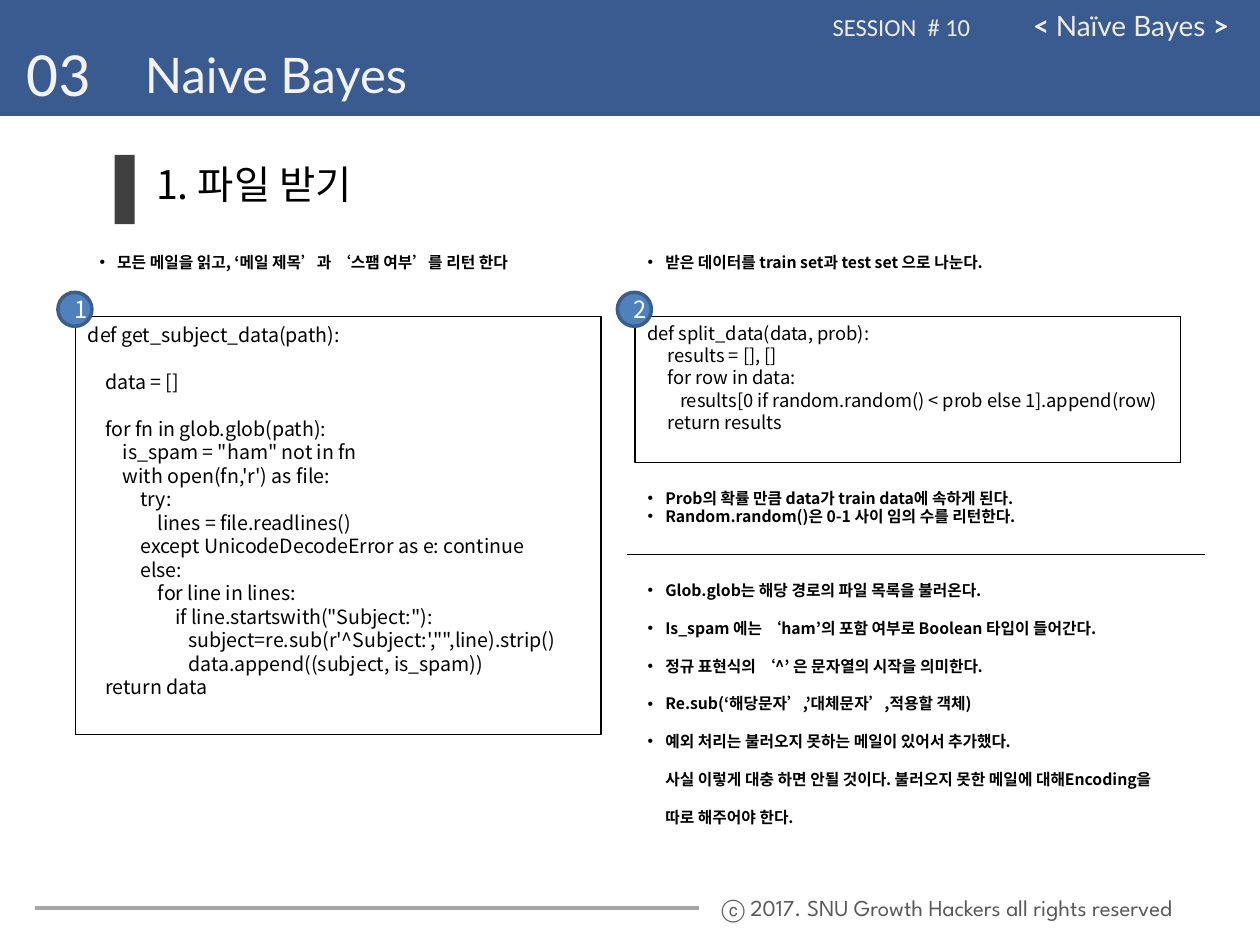
from copy import deepcopy
from lxml import etree
from pptx import Presentation
from pptx import util as u
from pptx.dml.color import RGBColor
from pptx.enum import shapes, text
from pptx.oxml import ns

PX = 9144
NAVY = RGBColor(0x3A, 0x5B, 0x90)
BLUE = RGBColor(0x4F, 0x81, 0xBD)
RIM = RGBColor(0x3A, 0x5F, 0x8C)
BLACK = RGBColor(0, 0, 0)
DARK = RGBColor(0x40, 0x40, 0x40)
GRAY = RGBColor(0x59, 0x59, 0x59)
RULE = RGBColor(0xA6, 0xA6, 0xA6)
PALE = RGBColor(0xF2, 0xF2, 0xF2)
CREAM = RGBColor(0xEE, 0xEC, 0xE1)
WHITE = RGBColor(0xFF, 0xFF, 0xFF)
NOTO = "Noto Sans CJK KR"

READ = """def get_subject_data(path):

    data = []

    for fn in glob.glob(path):
        is_spam = "ham" not in fn
        with open(fn,'r') as file:
            try:
                lines = file.readlines()
            except UnicodeDecodeError as e: continue
            else:
                for line in lines:
                    if line.startswith("Subject:"):
                       subject=re.sub(r'^Subject:',"",line).strip()
                       data.append((subject, is_spam))
    return data"""
SPLIT = """def split_data(data, prob):
     results = [], []
     for row in data:
        results[0 if random.random() < prob else 1].append(row)
     return results"""
NOTES = [
    "Glob.glob는 해당 경로의 파일 목록을 불러온다.",
    "Is_spam 에는 ‘ham’의 포함 여부로 Boolean 타입이 들어간다.",
    "정규 표현식의 ‘^’ 은 문자열의 시작을 의미한다.",
    "Re.sub(‘해당문자’,’대체문자’,적용할 객체)",
    "예외 처리는 불러오지 못하는 메일이 있어서 추가했다. \v"
    "사실 이렇게 대충 하면 안될 것이다. 불러오지 못한 메일에 대해Encoding을 따로 해주어야 한다.",
]


def scale(*nums):
    """Turn px into EMU."""
    return [n * PX for n in nums]


def mark(para):
    """Give a paragraph a hanging bullet."""
    props = para._p.get_or_add_pPr()
    props.set("marL", str(14 * PX))
    props.set("indent", str(-14 * PX))
    etree.SubElement(props, ns.qn("a:buFont")).set("typeface", "Arial")
    etree.SubElement(props, ns.qn("a:buChar")).set("char", "•")


def style(run, size, color, font, bold):
    """Format one run."""
    run.font.size = u.Pt(size)
    run.font.color.rgb = color
    run.font.name = font
    run.font.bold = bold
    etree.SubElement(run._r.get_or_add_rPr(), ns.qn("a:ea")).set("typeface", font)


def write(shape, lines, size, color=BLACK, font=NOTO, bold=False, pitch=None,
          bullet=False, align=text.PP_ALIGN.LEFT, anchor=text.MSO_ANCHOR.TOP):
    """Fill a shape with lines; an empty line is a gap, and tuple parts alternate weight."""
    frame = shape.text_frame
    frame.word_wrap = True
    frame.auto_size = text.MSO_AUTO_SIZE.NONE
    frame.vertical_anchor = anchor
    para, gap = frame.paragraphs[0], 0
    for row, line in enumerate(lines):
        if not line:
            gap += pitch
            continue
        if row:
            para = frame.add_paragraph()
        para.alignment = align
        para.space_before = u.Pt(gap)
        gap = 0
        if pitch:
            para.line_spacing = u.Pt(pitch)
        if bullet:
            mark(para)
        for turn, part in enumerate([line] if isinstance(line, str) else line):
            for nth, piece in enumerate(part.split("\v")):
                if nth:
                    para.add_line_break()
                run = para.add_run()
                run.text = piece
                style(run, size, color, font, bold != (turn % 2 == 1))
        for brk in para._p.findall(ns.qn("a:br")):
            brk.append(deepcopy(run._r.rPr))


def label(slide, box, *lines, **form):
    """Add a text box."""
    write(slide.shapes.add_textbox(*scale(*box)), lines, **form)


def block(slide, box, fill=None, line=None, width=0.75, kind=shapes.MSO_SHAPE.RECTANGLE):
    """Add a flat preset shape."""
    shape = slide.shapes.add_shape(kind, *scale(*box))
    shape.shadow.inherit = False
    for paint, color in ((shape.fill, fill), (shape.line.fill, line)):
        if color is None:
            paint.background()
        else:
            paint.solid()
            paint.fore_color.rgb = color
    if line is not None:
        shape.line.width = u.Pt(width)
    return shape


def rule(slide, x, y, w, color, width):
    """Add a level line."""
    line = slide.shapes.add_connector(shapes.MSO_CONNECTOR.STRAIGHT, *scale(x, y, x + w, y))
    line.line.color.rgb = color
    line.line.width = u.Pt(width)
    etree.SubElement(line._element.spPr, ns.qn("a:effectLst"))


def hold(slide, idx, box, lines, **form):
    """Move a placeholder to the front and fill it."""
    shape = slide.placeholders[idx]
    slide.shapes.element.append(shape.element)
    shape.left, shape.top, shape.width, shape.height = scale(*box)
    write(shape, lines, **form)


def banner(slide, x, y, w, h):
    """Draw the top band with its title."""
    block(slide, (x, y, w, h), NAVY, NAVY, 2)
    label(slide, (x + 11, y + 25, 92, 71), "03", size=36, color=PALE, font="Calibri")
    hold(slide, 0, (x + 105, y + 33, 255, 57), ["Naive Bayes"], size=28, color=PALE, font="Lato")
    label(slide, (x + 651, y + 8, 179, 34), "SESSION  # 10", size=14, color=CREAM, font="Calibri")
    label(slide, (x + 810, y + 5, 199, 37), ("< ", "Naïve Bayes ", ">"),
          size=16, color=CREAM, font="Lato", bold=True)


def heading(slide, x, y, w, h):
    """Draw the section heading with its bar."""
    block(slide, (x, y + 11, 16, 55), DARK)
    label(slide, (x + 23, y, w - 23, h), "1. 파일 받기", size=22.5, anchor=text.MSO_ANCHOR.MIDDLE)


def panel(slide, x, y, w, h, num, code, size):
    """Draw a framed listing with its number."""
    write(block(slide, (x, y, w, h), line=BLACK), code.split("\n"), size, pitch=size * 1.2)
    disc = block(slide, (x - 14, y - 19, 27, 27), BLUE, RIM, 2, shapes.MSO_SHAPE.OVAL)
    write(disc, [num], 13.5, WHITE, align=text.PP_ALIGN.CENTER, anchor=text.MSO_ANCHOR.MIDDLE)


def notes(slide, idx, box, lines, pitch=10.3):
    """Fill a body placeholder with bold bullets."""
    hold(slide, idx, box, lines, size=9, bold=True, bullet=True, pitch=pitch,
         anchor=text.MSO_ANCHOR.MIDDLE)


def footer(slide, x, y, w, h):
    """Draw the bottom rule and copyright line."""
    rule(slide, x, y + 17, 527, RULE, 2.25)
    label(slide, (x + 535, y, w - 535, h), "ⓒ 2017. SNU Growth Hackers all rights reserved",
          size=13, color=GRAY, font="League Spartan")


def main():
    """Build and save the slide."""
    deck = Presentation()
    deck.slide_width, deck.slide_height = scale(1000, 750)
    slide = deck.slides.add_slide(deck.slide_layouts[4])
    banner(slide, 0, -3, 1000, 94)
    heading(slide, 91, 112, 885, 67)
    notes(slide, 1, (69, 196, 352, 25), ["모든 메일을 읽고, ‘메일 제목’과 ‘스팸 여부’를 리턴 한다"])
    panel(slide, 60, 251, 417, 332, "1", READ, 11.2)
    notes(slide, 3, (504, 174, 340, 69), ["받은 데이터를 train set과 test set 으로 나눈다."])
    panel(slide, 504, 251, 433, 116, "2", SPLIT, 10.5)
    notes(slide, 2, (504, 376, 340, 54), ["Prob의 확률 만큼 data가 train data에 속하게 된다.",
                                          "Random.random()은 0-1 사이 임의 수를 리턴한다."])
    rule(slide, 498, 440, 458, BLACK, 0.75)
    notes(slide, 4, (504, 441, 433, 220), NOTES, 21.6)
    footer(slide, 28, 704, 968, 32)
    deck.save("out.pptx")


if __name__ == "__main__":
    main()
